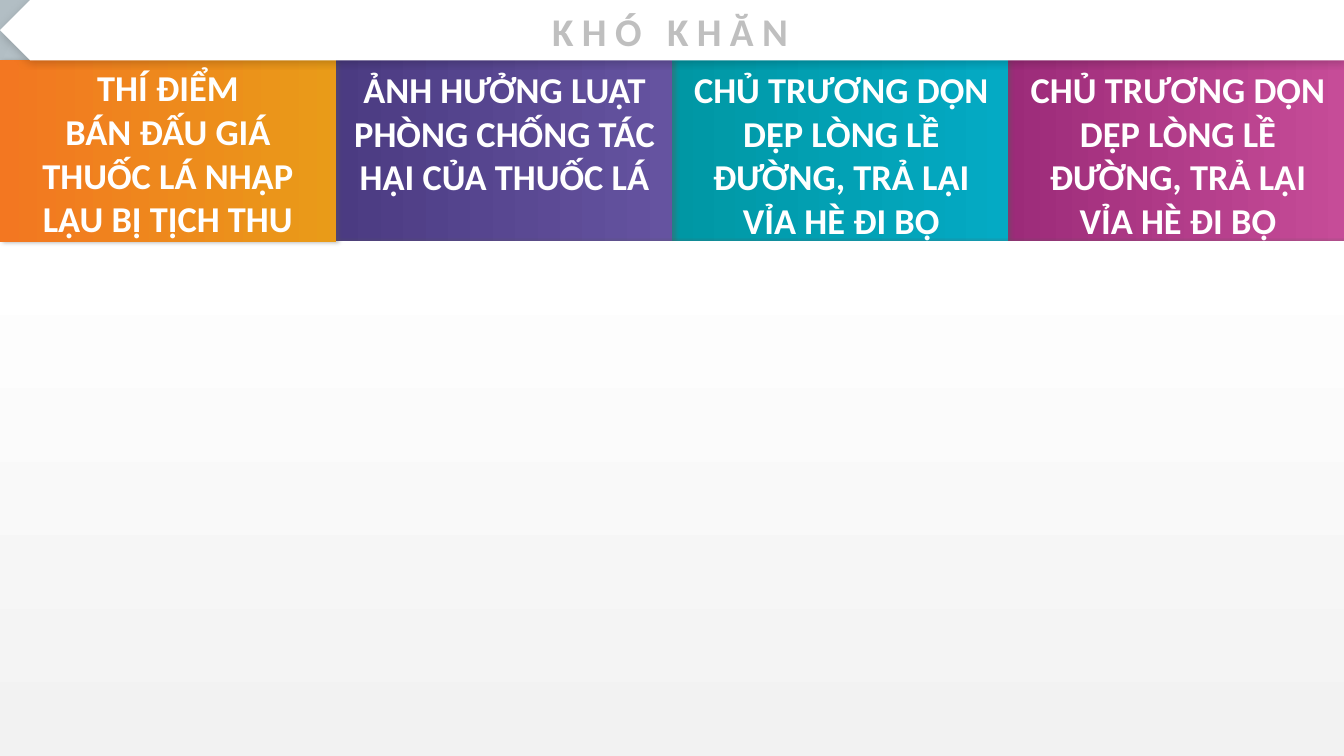
from lxml.etree import SubElement
from pptx import Presentation
from pptx.dml.color import RGBColor
from pptx.enum.shapes import MSO_SHAPE as SHAPE
from pptx.enum.text import MSO_AUTO_SIZE as AUTO, PP_ALIGN as ALIGN
from pptx.oxml.ns import qn
from pptx.util import Pt

W, H = 960, 540
BAR_H = 43.2
PANEL_W, PANEL_H = W / 4, 129.6
FONT = "Calibri"
SIDE_SHADOW = ("595959", 40, 3, 2, 0)
BODY_SHADOW = ("595959", 40, 2, 2, 0)
BAR_SHADOW = ("000000", 20, 6, 1, 45)

# paragraphs, right colour, left colour, shadow
PANELS = [
    (["THÍ ĐIỂM", "BÁN ĐẤU GIÁ THUỐC LÁ NHẬP LẬU BỊ TỊCH THU"],
     "E99B18", "F37721", SIDE_SHADOW),
    (["ẢNH HƯỞNG LUẬT PHÒNG CHỐNG TÁC HẠI CỦA THUỐC LÁ"],
     "6553A0", "4B3B82", SIDE_SHADOW),
    (["CHỦ TRƯƠNG DỌN DẸP LÒNG LỀ ĐƯỜNG, TRẢ LẠI VỈA HÈ ĐI BỘ"],
     "04AAC4", "0097A4", SIDE_SHADOW),
    (["CHỦ TRƯƠNG DỌN DẸP LÒNG LỀ ĐƯỜNG, TRẢ LẠI VỈA HÈ ĐI BỘ"],
     "C64C98", "9C2B79", None),
]


def rgb(color):
    return RGBColor.from_string(color)


def fill_gradient(fill, start, end, angle=0):
    """Angle is counter-clockwise, in degrees."""
    fill.gradient()
    fill.gradient_angle = angle
    for stop, color in zip(fill.gradient_stops, (start, end)):
        stop.color.rgb = rgb(color)


def set_background(s, center, edge):
    """Radial gradient from the middle of the slide outwards."""
    fill_gradient(s.background.fill, center, edge)
    grad = s._element.find(".//" + qn("a:gradFill"))
    grad.remove(grad.find(qn("a:lin")))
    radial = SubElement(grad, qn("a:path"), {"path": "circle"})
    SubElement(radial, qn("a:fillToRect"), dict.fromkeys("ltrb", "50000"))


def add_shadow(sp, color, alpha, blur, dist, angle):
    effects = sp._element.spPr.find(qn("a:effectLst"))
    shadow = SubElement(effects, qn("a:outerShdw"), {
        "blurRad": str(Pt(blur)), "dist": str(Pt(dist)),
        "dir": str(angle * 60000), "algn": "tl", "rotWithShape": "0"})
    clr = SubElement(shadow, qn("a:srgbClr"), {"val": color})
    SubElement(clr, qn("a:alpha"), {"val": str(alpha * 1000)})


def add_block(s, kind, left, top, width, height, shadow):
    sp = s.shapes.add_shape(kind, Pt(left), Pt(top), Pt(width), Pt(height))
    sp.line.fill.background()
    sp.shadow.inherit = False
    if shadow:
        add_shadow(sp, *shadow)
    return sp


def add_panel(s, i):
    _, right, left, shadow = PANELS[i]
    sp = add_block(s, SHAPE.RECTANGLE, i * PANEL_W, BAR_H, PANEL_W, PANEL_H, shadow)
    fill_gradient(sp.fill, right, left, 180)


def add_body(s):
    top = BAR_H + PANEL_H - 0.7
    sp = add_block(s, SHAPE.RECTANGLE, 0, top, W, H - top, BODY_SHADOW)
    fill_gradient(sp.fill, "FFFFFF", "F2F2F2", 270)


def add_title_bar(s):
    sp = add_block(s, SHAPE.PENTAGON, 0, 0, W, BAR_H, BAR_SHADOW)
    sp.fill.solid()
    sp.fill.fore_color.rgb = rgb("FFFFFF")
    sp._element.spPr.find(qn("a:xfrm")).set("flipH", "1")


def add_text(s, box, lines, size, color, spacing=0):
    """Centred bold text; spacing is the gap between letters in points."""
    tf = s.shapes.add_textbox(*map(Pt, box)).text_frame
    tf.word_wrap = True
    tf.auto_size = AUTO.SHAPE_TO_FIT_TEXT
    tf.text = "\n".join(lines)
    for p in tf.paragraphs:
        p.alignment = ALIGN.CENTER
        for r in p.runs:
            r.font.name = FONT
            r.font.size = Pt(size)
            r.font.bold = True
            r.font.color.rgb = rgb(color)
            if spacing:
                r.font._element.set("spc", str(spacing * 100))


def main():
    prs = Presentation()
    prs.slide_width, prs.slide_height = Pt(W), Pt(H)
    s = prs.slides.add_slide(prs.slide_layouts[6])
    set_background(s, "E5E9EC", "B2BEC4")

    for i in (3, 2, 1):
        add_panel(s, i)
    add_body(s)
    add_panel(s, 0)
    add_title_bar(s)

    add_text(s, (PANEL_W, 1.4, 477.4, 41.2), ["KHÓ KHĂN"], 28, "BFBFBF", 6)
    for i, (lines, *_) in enumerate(PANELS):
        top = BAR_H + (1.2 if i else 0)
        add_text(s, (i * (PANEL_W + 0.5), top, PANEL_W, 133.2), lines, 26, "FFFFFF")

    prs.save("out.pptx")


if __name__ == "__main__":
    main()
